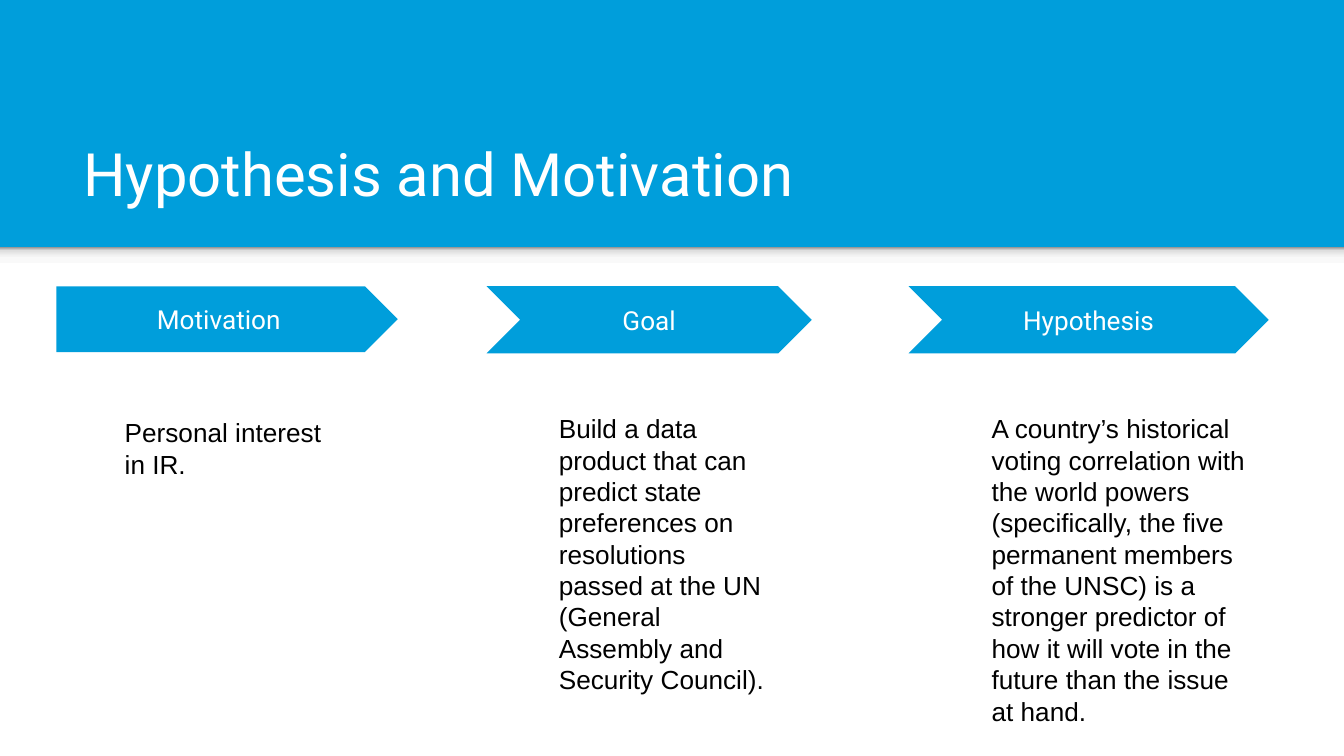
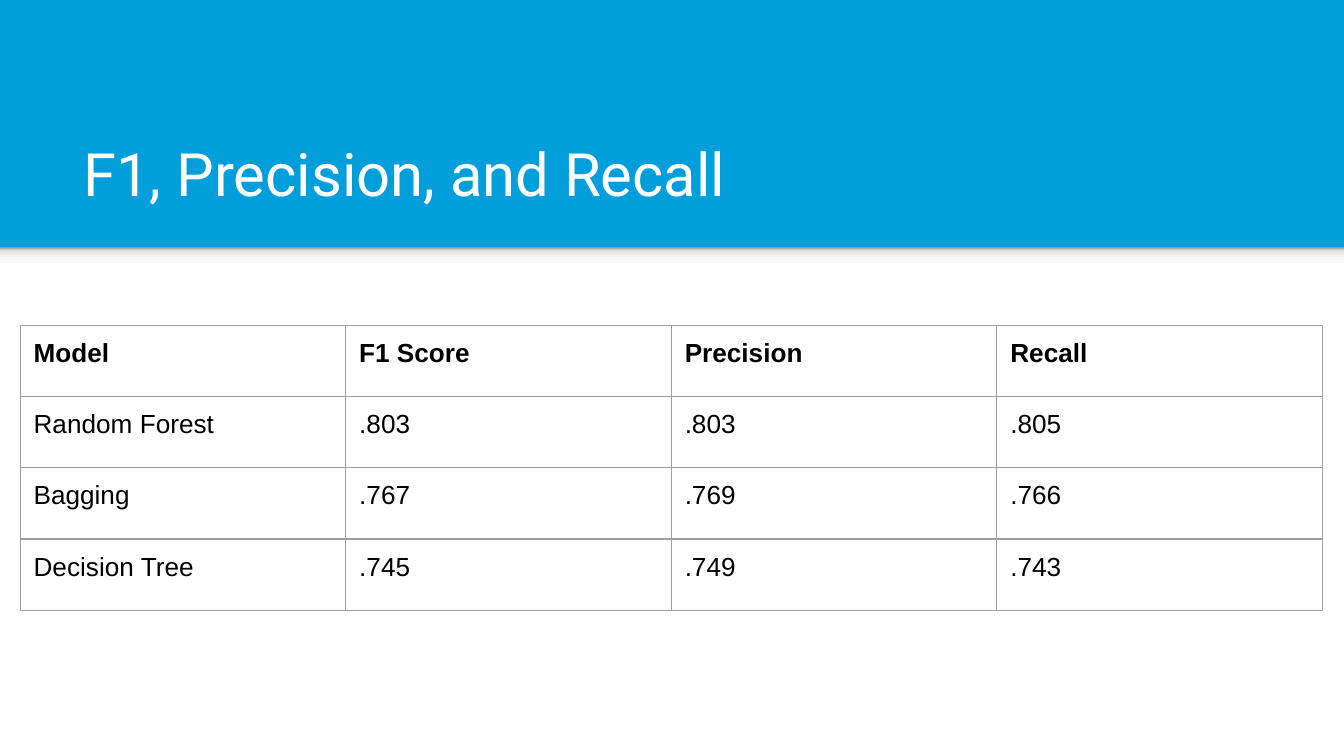
from dataclasses import dataclass

import lxml.etree
import pptx
import pptx.dml.color
import pptx.enum.shapes
import pptx.enum.text
import pptx.oxml
import pptx.oxml.ns
import pptx.util

RGB = pptx.dml.color.RGBColor
KIND = pptx.enum.shapes.MSO_SHAPE
ALIGN = pptx.enum.text.PP_ALIGN
ANCHOR = pptx.enum.text.MSO_ANCHOR

BLUE = RGB(0x00, 0x9E, 0xDB)
WHITE = RGB(0xFF, 0xFF, 0xFF)
BLACK = RGB(0x00, 0x00, 0x00)
GREY = RGB(0x9E, 0x9E, 0x9E)
PALE = RGB(0xF9, 0xF9, 0xF9)
MIST = RGB(0xDE, 0xDE, 0xDE)
DUSK = RGB(0x99, 0x99, 0x99)
FADE = ((0, PALE), (36, PALE), (80, MIST), (100, DUSK))

UNIT = pptx.util.Inches(0.1)  # one grid column or row
WIDE, HIGH = 100, 56.25
BAND = 18.4  # row where the blue band ends

PAD = {f"margin_{side}": UNIT for side in ("left", "right", "top", "bottom")}
TITLE = {"size": pptx.util.Pt(32), "name": "Roboto"}
LABEL = {"size": pptx.util.Pt(14), "name": "Roboto"}
BODY = {"size": pptx.util.Pt(14), "name": "Arial"}


@dataclass(frozen=True)
class Box:
    """A place on the grid, in columns and rows."""
    left: float
    top: float
    width: float
    height: float

    def place(self) -> list[int]:
        return [round(n * UNIT) for n in (self.left, self.top, self.width, self.height)]


@dataclass(frozen=True)
class Step:
    head: str
    kind: KIND
    arrow: Box
    text: str
    note: Box


STEPS = (
    Step("Hypothesis", KIND.CHEVRON, Box(67.6, 21.3, 26.8, 5),
         "A country’s historical voting correlation with the world powers "
         "(specifically, the five permanent members of the UNSC) is a stronger "
         "predictor of how it will vote in the future than the issue at hand.",
         Box(72.8, 29.7, 21.6, 26.3)),
    Step("Motivation", KIND.PENTAGON, Box(4.2, 21.3, 25.4, 4.9),
         "Personal interest in IR.", Box(8.3, 30, 16.6, 19.9)),
    Step("Goal", KIND.CHEVRON, Box(36.2, 21.3, 24.2, 5),
         "Build a data product that can predict state preferences on resolutions "
         "passed at the UN (General Assembly and Security Council).",
         Box(40.6, 29.7, 18.1, 23.6)),
)

SCORES = (
    ("Model", "F1 Score", "Precision", "Recall"),
    ("Random Forest", ".803", ".803", ".805"),
    ("Bagging", ".767", ".769", ".766"),
    ("Decision Tree", ".745", ".749", ".743"),
)
GRID = Box(1.5, 24.2, 96.9, 21.2)


def assign(item, form: dict) -> None:
    for name, value in form.items():
        setattr(item, name, value)


def write(frame, text: str, font: dict, ink: RGB, align=ALIGN.LEFT) -> None:
    line = frame.paragraphs[0]
    line.alignment = align
    run = line.add_run()
    run.text = text
    assign(run.font, font)
    run.font.color.rgb = ink


def draw(shapes, kind: KIND, box: Box, fill: RGB):
    shape = shapes.add_shape(kind, *box.place())
    shape.shadow.inherit = False
    shape.fill.solid()
    shape.fill.fore_color.rgb = fill
    shape.line.fill.background()
    return shape


def shade(shape) -> None:
    """Fill the shape with the fade, running from bottom to top."""
    shape.fill.gradient()
    shape.fill.gradient_angle = 90
    tag = pptx.oxml.ns.qn
    stops = next(shape.element.iter(tag("a:gsLst")))
    for old in list(stops):
        stops.remove(old)
    for share, tint in FADE:
        stop = lxml.etree.SubElement(stops, tag("a:gs"), pos=str(share * 1000))
        lxml.etree.SubElement(stop, tag("a:srgbClr"), val=str(tint))


def start(deck, text: str):
    """Add a slide with the blue band, its shadow and the title."""
    slide = deck.slides.add_slide(deck.slide_layouts[5])
    slide.background.fill.solid()
    slide.background.fill.fore_color.rgb = BLUE
    draw(slide.shapes, KIND.RECTANGLE, Box(0, BAND, WIDE, HIGH - BAND), WHITE)
    shade(draw(slide.shapes, KIND.RECTANGLE, Box(0, BAND, WIDE, 1.2), PALE))
    title = slide.shapes.title
    spot = ("left", "top", "width", "height")
    assign(title, dict(zip(spot, Box(5.2, 8.1, 89.9, 8.4).place())))
    assign(title.text_frame, PAD | {
        "vertical_anchor": ANCHOR.BOTTOM, "word_wrap": True,
        "auto_size": pptx.enum.text.MSO_AUTO_SIZE.NONE})
    write(title.text_frame, text, TITLE, WHITE)
    return slide


def add_step(slide, step: Step) -> None:
    group = slide.shapes.add_group_shape().shapes
    arrow = draw(group, step.kind, step.arrow, BLUE)
    arrow.adjustments[0] = 0.5
    assign(arrow.text_frame, PAD | {"vertical_anchor": ANCHOR.MIDDLE})
    write(arrow.text_frame, step.head, LABEL, WHITE, ALIGN.CENTER)
    note = group.add_textbox(*step.note.place()).text_frame
    assign(note, PAD | {"word_wrap": True})
    write(note, step.text, BODY, BLACK)


def edge(cell) -> None:
    """Draw a thin grey border on all four sides of the cell."""
    space = pptx.oxml.ns.nsdecls("a")
    props = cell._tc.get_or_add_tcPr()
    for side in "LRTB":
        props.append(pptx.oxml.parse_xml(
            f'<a:ln{side} {space} w="{pptx.util.Pt(0.75)}"><a:solidFill>'
            f'<a:srgbClr val="{GREY}"/></a:solidFill></a:ln{side}>'))


def add_scores(slide) -> None:
    rows, cols = len(SCORES), len(SCORES[0])
    table = slide.shapes.add_table(rows, cols, *GRID.place()).table
    assign(table, {"first_row": False, "horz_banding": False})
    for y, row in enumerate(SCORES):
        for x, text in enumerate(row):
            cell = table.cell(y, x)
            edge(cell)
            cell.fill.background()
            assign(cell, PAD)
            write(cell.text_frame, text, BODY | {"bold": y == 0}, BLACK)


def main() -> None:
    deck = pptx.Presentation()
    assign(deck, {"slide_width": WIDE * UNIT, "slide_height": round(HIGH * UNIT)})
    slide = start(deck, "Hypothesis and Motivation")
    for step in STEPS:
        add_step(slide, step)
    add_scores(start(deck, "F1, Precision, and Recall"))
    deck.save("out.pptx")


if __name__ == "__main__":
    main()
